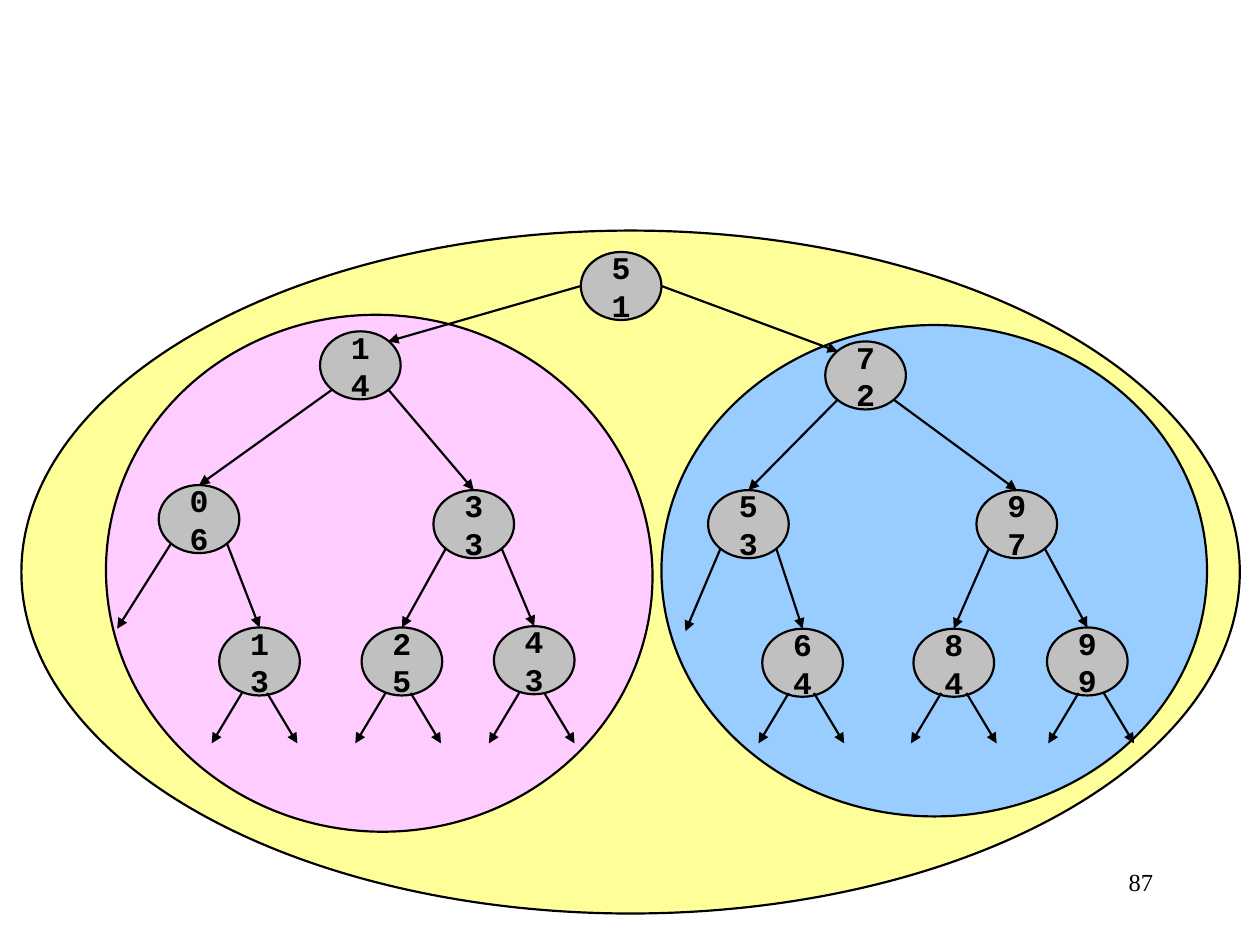
from lxml import etree
from pptx import Presentation
from pptx.dml.color import RGBColor
from pptx.enum.shapes import MSO_CONNECTOR, MSO_SHAPE
from pptx.enum.text import MSO_ANCHOR, PP_ALIGN
from pptx.oxml.ns import qn
from pptx.util import Inches, Pt

OVAL, STRAIGHT = MSO_SHAPE.OVAL, MSO_CONNECTOR.STRAIGHT
MIDDLE, CENTER, RIGHT = MSO_ANCHOR.MIDDLE, PP_ALIGN.CENTER, PP_ALIGN.RIGHT

THEME = {
    "ink": "000000", "tree": "FFFF99", "left": "FFCCFF", "right": "99CCFF",
    "node": "C0C0C0", "line": 1.25,
    "key": ("Courier New", 18, True), "number": ("Times New Roman", 14, False),
}

# Content: regions as (colour, left, top, width, height, rotation)
REGIONS = [
    ("tree", 0.17, 1.83, 9.67, 5.42, 0),
    ("right", 5.25, 2.58, 4.33, 3.9, 0),
    ("left", 0.84, 2.5, 4.34, 4.1, 6),
]
# Keys with the centre of each node
NODES = {
    "51": (4.93, 2.27),
    "14": (2.86, 2.9), "72": (6.87, 2.98),
    "06": (1.58, 4.12), "33": (3.76, 4.16), "53": (5.94, 4.16), "97": (8.07, 4.16),
    "13": (2.06, 5.25), "25": (3.19, 5.25), "43": (4.24, 5.24),
    "64": (6.37, 5.26), "84": (7.57, 5.26), "99": (8.63, 5.25),
}
# Children, left then right; a point stands for an empty subtree
CHILDREN = {
    "51": ("14", "72"),
    "14": ("06", "33"), "72": ("53", "97"),
    "06": ((0.93, 4.99), "13"), "33": ("25", "43"),
    "53": ((5.44, 5.01), "64"), "97": ("84", "99"),
}
# Leaves with the sideways shift of their two empty subtrees
LEAVES = {"13": -0.04, "25": -0.03, "43": -0.02, "64": -0.01, "84": 0, "99": 0.03}
PAGE_NUMBER = "87"

NODE_W, NODE_H = 0.64, 0.54
DIAG_X, DIAG_Y = 0.22, 0.19          # where an edge meets a node diagonally
STUB_X, STUB_Y = (0.1, 0.34), (5.5, 5.9)

prs = Presentation()
prs.slide_width, prs.slide_height = Inches(10), Inches(7.5)
s = prs.slides.add_slide(prs.slide_layouts[6])


def color(name):
    return RGBColor.from_string(THEME[name])


def write(tf, text, style, align):
    tf.word_wrap = True
    tf.text = text
    p = tf.paragraphs[0]
    p.alignment = align
    font = p.runs[0].font
    font.name, size, font.bold = THEME[style]
    font.size = Pt(size)
    font.color.rgb = color("ink")


def oval(fill, x, y, w, h, rotation=0):
    sp = s.shapes.add_shape(OVAL, *map(Inches, (x, y, w, h)))
    sp.rotation = rotation
    sp.shadow.inherit = False
    sp.fill.solid()
    sp.fill.fore_color.rgb = color(fill)
    sp.line.color.rgb = color("ink")
    sp.line.width = Pt(THEME["line"])
    return sp


def arrow(start, end):
    c = s.shapes.add_connector(STRAIGHT, *map(Inches, (*start, *end)))
    c.line.color.rgb = color("ink")
    c.line.width = Pt(THEME["line"])
    etree.SubElement(c.line._get_or_add_ln(), qn("a:tailEnd"), type="triangle")
    etree.SubElement(c._element.spPr, qn("a:effectLst"))


# Page number
box = s.shapes.add_textbox(*map(Inches, (7.17, 6.83, 2.08, 0.5)))
write(box.text_frame, PAGE_NUMBER, "number", RIGHT)

# Whole tree and its two subtrees
for region in REGIONS:
    oval(*region)

# Nodes
for key, (x, y) in NODES.items():
    sp = oval("node", x - NODE_W / 2, y - NODE_H / 2, NODE_W, NODE_H)
    sp.text_frame.vertical_anchor = MIDDLE
    write(sp.text_frame, key, "key", CENTER)

# Edges: the root leaves sideways, the others diagonally
for parent, children in CHILDREN.items():
    px, py = NODES[parent]
    for side, child in zip((-1, 1), children):
        if parent == "51":
            cx, cy = NODES[child]
            arrow((px + side * NODE_W / 2, py), (cx - side * DIAG_X, cy - DIAG_Y))
            continue
        if child in NODES:
            cx, cy = NODES[child]
            end = (cx, cy - NODE_H / 2)
        else:
            end = child
        arrow((px + side * DIAG_X, py + DIAG_Y), end)

# Empty subtrees below the leaves
for key, shift in LEAVES.items():
    x = NODES[key][0] + shift
    for side in (-1, 1):
        arrow(*[(x + side * dx, y) for dx, y in zip(STUB_X, STUB_Y)])

prs.save("out.pptx")
